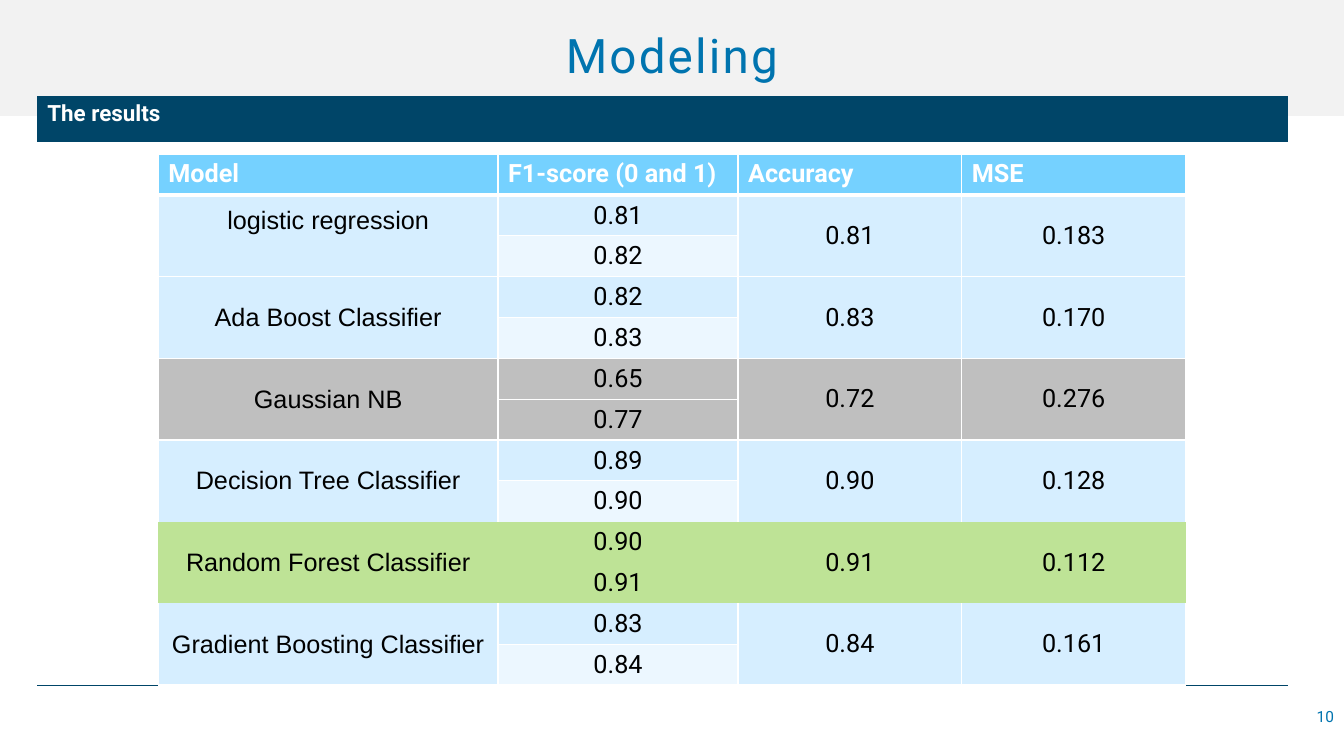
from dataclasses import dataclass

from lxml import etree
from pptx import Presentation
from pptx.dml.color import RGBColor
from pptx.enum.text import MSO_ANCHOR, MSO_AUTO_SIZE, PP_ALIGN
from pptx.oxml.ns import qn
from pptx.util import Inches, Pt

LEFT, CENTER, RIGHT = PP_ALIGN.LEFT, PP_ALIGN.CENTER, PP_ALIGN.RIGHT
TOP, MIDDLE = MSO_ANCHOR.TOP, MSO_ANCHOR.MIDDLE
NO_FIT = MSO_AUTO_SIZE.NONE
TITLE_ONLY = 5


@dataclass(frozen=True)
class Theme:
    font: str = "Roboto"
    name_font: str = "Arial"
    accent: str = "0074AF"
    navy: str = "004568"
    white: str = "FFFFFF"
    black: str = "000000"
    title_fill: str = "F2F2F2"
    header_fill: str = "75D1FF"
    band: str = "D6EEFF"
    light_band: str = "ECF7FF"
    worst: str = "BFBFBF"
    best: str = "BEE396"
    title_size: float = 34
    table_size: float = 18
    banner_size: float = 16
    number_size: float = 11


@dataclass(frozen=True)
class Model:
    name: str
    scores: tuple[str, str]
    accuracy: str
    mse: str
    fills: tuple[str, str]
    raise_by: float = 0


THEME = Theme()
PLAIN = (THEME.band, THEME.light_band)
WORST = (THEME.worst, THEME.worst)
BEST = (THEME.best, THEME.best)

HEADERS = ("Model", "F1-score (0 and 1)", "Accuracy", "MSE")
COLUMN_WIDTHS = (3.37, 2.38, 2.22, 2.22)
SCORE_COLUMN = 1
MODELS = (
    Model("logistic regression", ("0.81", "0.82"), "0.81", "0.183", PLAIN, 0.15),
    Model("Ada Boost Classifier", ("0.82", "0.83"), "0.83", "0.170", PLAIN),
    Model("Gaussian NB", ("0.65", "0.77"), "0.72", "0.276", WORST),
    Model("Decision Tree Classifier", ("0.89", "0.90"), "0.90", "0.128", PLAIN),
    Model("Random Forest Classifier", ("0.90", "0.91"), "0.91", "0.112", BEST),
    Model("Gradient Boosting Classifier", ("0.83", "0.84"), "0.84", "0.161", PLAIN),
)


def write(frame, text: str, *, size: float, color: str, font: str = THEME.font,
          bold: bool = False, align=LEFT, tracking: float = 0) -> None:
    para = frame.paragraphs[0]
    para.alignment = align
    span = para.add_run()
    span.text = text
    span.font.name = font
    span.font.size = Pt(size)
    span.font.bold = bold
    span.font.color.rgb = RGBColor.from_string(color)
    if tracking:
        span.font._element.set("spc", str(int(tracking * 100)))


def style_cell(cell, fill: str, color: str = THEME.white, left: float = 0,
               right: float = 0, top: float = 0, bottom: float = 0) -> None:
    properties = cell._tc.get_or_add_tcPr()
    for tag, width in (("a:lnL", left), ("a:lnR", right), ("a:lnT", top), ("a:lnB", bottom)):
        line = etree.SubElement(properties, qn(tag), w=str(Pt(width)))
        if width:
            solid = etree.SubElement(line, qn("a:solidFill"))
            etree.SubElement(solid, qn("a:srgbClr"), val=color)
        else:
            etree.SubElement(line, qn("a:noFill"))
    cell.fill.solid()
    cell.fill.fore_color.rgb = RGBColor.from_string(fill)


def add_grid(page, left: float, top: float, widths: tuple[float, ...],
             heights: tuple[float, ...]):
    grid = page.shapes.add_table(
        len(heights), len(widths), Inches(left), Inches(top),
        Inches(sum(widths)), Inches(sum(heights))).table
    grid.first_row = False
    grid.horz_banding = False
    for column, width in zip(grid.columns, widths):
        column.width = Inches(width)
    for row, height in zip(grid.rows, heights):
        row.height = Inches(height)
    return grid


def add_title(page) -> None:
    title = page.shapes.title
    title.left, title.top = Inches(0), Inches(0)
    title.width, title.height = Inches(13.33), Inches(1.15)
    title.fill.solid()
    title.fill.fore_color.rgb = RGBColor.from_string(THEME.title_fill)
    frame = title.text_frame
    frame.auto_size = NO_FIT
    frame.vertical_anchor = MIDDLE
    frame.margin_left = frame.margin_right = Inches(0.5)
    write(frame, "Modeling", size=THEME.title_size, color=THEME.accent,
          align=CENTER, tracking=1.6)
    frame.paragraphs[0].line_spacing = 0.9


def add_banner(page) -> None:
    grid = add_grid(page, 0.37, 0.95, (12.4,), (0.46, 5.39))
    banner, body = grid.cell(0, 0), grid.cell(1, 0)
    style_cell(banner, THEME.navy)
    style_cell(body, THEME.white, color=THEME.navy, bottom=0.25)
    write(banner.text_frame, "The results", size=THEME.banner_size,
          color=THEME.white, bold=True)


def add_page_number(page) -> None:
    box = page.shapes.add_textbox(Inches(10.33), Inches(6.91), Inches(3), Inches(0.4))
    box.text_frame.word_wrap = True
    box.text_frame.vertical_anchor = MIDDLE
    write(box.text_frame, "10", size=THEME.number_size, color=THEME.accent, align=RIGHT)


def add_model(grid, index: int) -> None:
    model = MODELS[index]
    first = 1 + 2 * index
    side = 0 if model.fills == BEST else 1
    after_best = index > 0 and MODELS[index - 1].fills == BEST
    before_best = index + 1 < len(MODELS) and MODELS[index + 1].fills == BEST
    above = 3 if index == 0 else 0 if after_best else side
    below = 0 if before_best else side
    values = (model.name, model.scores, model.accuracy, model.mse)
    for column, value in enumerate(values):
        split = column == SCORE_COLUMN
        texts = value if split else (value, "")
        for offset, text in enumerate(texts):
            cell = grid.cell(first + offset, column)
            cell.vertical_anchor = MIDDLE
            style_cell(cell, model.fills[offset if split else 0], left=side, right=side,
                       top=side if split and offset else above,
                       bottom=side if split and not offset else below)
            if text:
                write(cell.text_frame, text, size=THEME.table_size, color=THEME.black,
                      font=THEME.name_font if column == 0 else THEME.font, align=CENTER)
        if not split:
            grid.cell(first, column).merge(grid.cell(first + 1, column))
    grid.cell(first, 0).margin_bottom = Inches(0.05 + 2 * model.raise_by)


def add_results(page) -> None:
    row_count = 1 + 2 * len(MODELS)
    grid = add_grid(page, 1.57, 1.53, COLUMN_WIDTHS, (5.27 / row_count,) * row_count)
    for column, header in enumerate(HEADERS):
        cell = grid.cell(0, column)
        cell.vertical_anchor = TOP
        style_cell(cell, THEME.header_fill, left=1, right=1, top=1, bottom=3)
        write(cell.text_frame, header, size=THEME.table_size, color=THEME.white, bold=True)
    for index in range(len(MODELS)):
        add_model(grid, index)


def main() -> None:
    deck = Presentation()
    deck.slide_width, deck.slide_height = Inches(13.33), Inches(7.5)
    page = deck.slides.add_slide(deck.slide_layouts[TITLE_ONLY])
    add_title(page)
    add_banner(page)
    add_page_number(page)
    add_results(page)
    deck.save("out.pptx")


if __name__ == "__main__":
    main()
